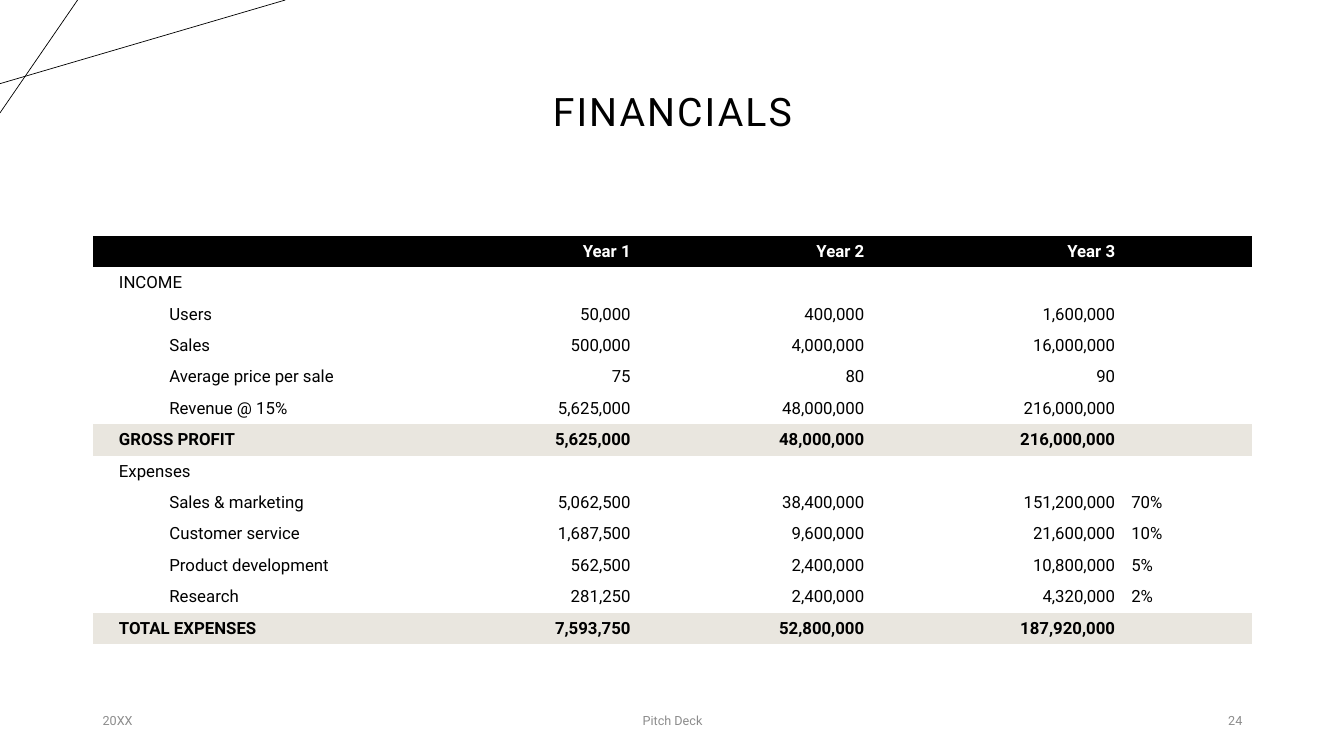
import dataclasses

import lxml.etree
import pptx
import pptx.dml.color
import pptx.enum.shapes
import pptx.enum.text
import pptx.oxml.ns
import pptx.util

Inches = pptx.util.Inches
ALIGN = pptx.enum.text.PP_ALIGN
MIDDLE = pptx.enum.text.MSO_ANCHOR.MIDDLE


@dataclasses.dataclass(frozen=True)
class Theme:
    font: str = "Roboto"
    ink: str = "000000"
    paper: str = "FFFFFF"
    band: str = "E9E6DF"
    muted: str = "8C8C8C"
    title_size: float = 28
    table_size: float = 12
    footer_size: float = 9
    line_width: float = 0.5
    title_tracking: int = 150


THEME = Theme()
PLAIN_TABLE_STYLE = "{2D5ABB26-0587-4C30-8999-92F81FD0307C}"
COLUMN_WIDTHS = (3.54, 1.88, 2.32, 2.49, 1.28)
FINANCIALS = (
    ("header", "", "Year 1", "Year 2", "Year 3", ""),
    ("section", "INCOME", "", "", "", ""),
    ("item", "Users", "50,000", "400,000", "1,600,000", ""),
    ("item", "Sales", "500,000", "4,000,000", "16,000,000", ""),
    ("item", "Average price per sale", "75", "80", "90", ""),
    ("item", "Revenue @ 15%", "5,625,000", "48,000,000", "216,000,000", ""),
    ("total", "GROSS PROFIT", "5,625,000", "48,000,000", "216,000,000", ""),
    ("section", "Expenses", "", "", "", ""),
    ("item", "Sales & marketing", "5,062,500", "38,400,000", "151,200,000", "70%"),
    ("item", "Customer service", "1,687,500", "9,600,000", "21,600,000", "10%"),
    ("item", "Product development", "562,500", "2,400,000", "10,800,000", "5%"),
    ("item", "Research", "281,250", "2,400,000", "4,320,000", "2%"),
    ("total", "TOTAL EXPENSES", "7,593,750", "52,800,000", "187,920,000", ""),
)


def color(value):
    return pptx.dml.color.RGBColor.from_string(value)


def format_paragraph(paragraph, size, ink, alignment, bold=False):
    paragraph.alignment = alignment
    for run in paragraph.runs:
        run.font.name = THEME.font
        run.font.size = pptx.util.Pt(size)
        run.font.bold = bold
        run.font.color.rgb = color(ink)


def add_label(slide, box, text, size, ink, alignment):
    shape = slide.shapes.add_textbox(*map(Inches, box))
    frame = shape.text_frame
    frame.word_wrap = True
    frame.vertical_anchor = MIDDLE
    frame.text = text
    paragraph = frame.paragraphs[0]
    format_paragraph(paragraph, size, ink, alignment)
    return paragraph


def add_corner_lines(slide, box):
    left, top, width, height = box
    ends = (
        (left, top + 0.83, left + width, top),
        (left + 0.77, top, left, top + height),
    )
    for points in ends:
        line = slide.shapes.add_connector(
            pptx.enum.shapes.MSO_CONNECTOR.STRAIGHT, *map(Inches, points)
        )
        line.line.color.rgb = color(THEME.ink)
        line.line.width = pptx.util.Pt(THEME.line_width)
        lxml.etree.SubElement(
            line._element.spPr, pptx.oxml.ns.qn("a:effectLst")
        )


def add_title(slide, box):
    paragraph = add_label(
        slide, box, "FINANCIALS", THEME.title_size, THEME.ink, ALIGN.CENTER
    )
    paragraph.line_spacing = 0.9
    properties = paragraph.runs[0].font._element
    properties.set("spc", str(THEME.title_tracking))


def fill_cell(cell, text, kind, column):
    fills = {"header": THEME.ink, "total": THEME.band}
    if kind in fills:
        cell.fill.solid()
        cell.fill.fore_color.rgb = color(fills[kind])
    else:
        cell.fill.background()
    cell.vertical_anchor = MIDDLE
    cell.margin_left = Inches(0.26 if column == 0 else 0.08)
    cell.margin_right = Inches(0.08)
    cell.margin_top = cell.margin_bottom = Inches(0.04)
    cell.text_frame.text = text
    paragraph = cell.text_frame.paragraphs[0]
    format_paragraph(
        paragraph,
        THEME.table_size,
        THEME.paper if kind == "header" else THEME.ink,
        ALIGN.RIGHT if 1 <= column <= 3 else ALIGN.LEFT,
        kind in fills,
    )
    if kind == "item" and column == 0:
        paragraph.level = 1
        paragraph._p.get_or_add_pPr().set("marL", str(Inches(0.5)))
    if not text:
        ending = lxml.etree.SubElement(
            paragraph._p, pptx.oxml.ns.qn("a:endParaRPr")
        )
        ending.set("sz", str(THEME.table_size * 100))


def add_financial_table(slide, box):
    frame = slide.shapes.add_table(
        len(FINANCIALS), len(COLUMN_WIDTHS), *map(Inches, box)
    )
    table = frame.table
    table.first_row = False
    table.horz_banding = False
    style = table._tbl.tblPr.find(pptx.oxml.ns.qn("a:tableStyleId"))
    style.text = PLAIN_TABLE_STYLE
    for column, width in zip(table.columns, COLUMN_WIDTHS):
        column.width = Inches(box[2] * width / sum(COLUMN_WIDTHS))
    for row, (kind, *texts) in zip(table.rows, FINANCIALS):
        row.height = Inches(box[3] / len(FINANCIALS))
        for column, text in enumerate(texts):
            fill_cell(row.cells[column], text, kind, column)


def add_footer(slide, box):
    left, top, width, height = box
    parts = (
        ("20XX", 0, 3, ALIGN.LEFT),
        ("Pitch Deck", (width - 4.5) / 2, 4.5, ALIGN.CENTER),
        ("24", width - 3, 3, ALIGN.RIGHT),
    )
    for text, offset, part_width, alignment in parts:
        add_label(
            slide,
            (left + offset, top, part_width, height),
            text,
            THEME.footer_size,
            THEME.muted,
            alignment,
        )


def build_financials_slide(presentation):
    slide = presentation.slides.add_slide(presentation.slide_layouts[6])
    slide.background.fill.solid()
    slide.background.fill.fore_color.rgb = color(THEME.paper)
    add_corner_lines(slide, (0, 0, 2.83, 1.12))
    add_title(slide, (0.92, 0.4, 11.5, 1.45))
    add_financial_table(slide, (0.92, 2.34, 11.5, 4.05))
    add_footer(slide, (0.92, 6.95, 11.5, 0.4))


def main():
    presentation = pptx.Presentation()
    presentation.slide_width = Inches(13.33)
    presentation.slide_height = Inches(7.5)
    build_financials_slide(presentation)
    presentation.save("out.pptx")


if __name__ == "__main__":
    main()
